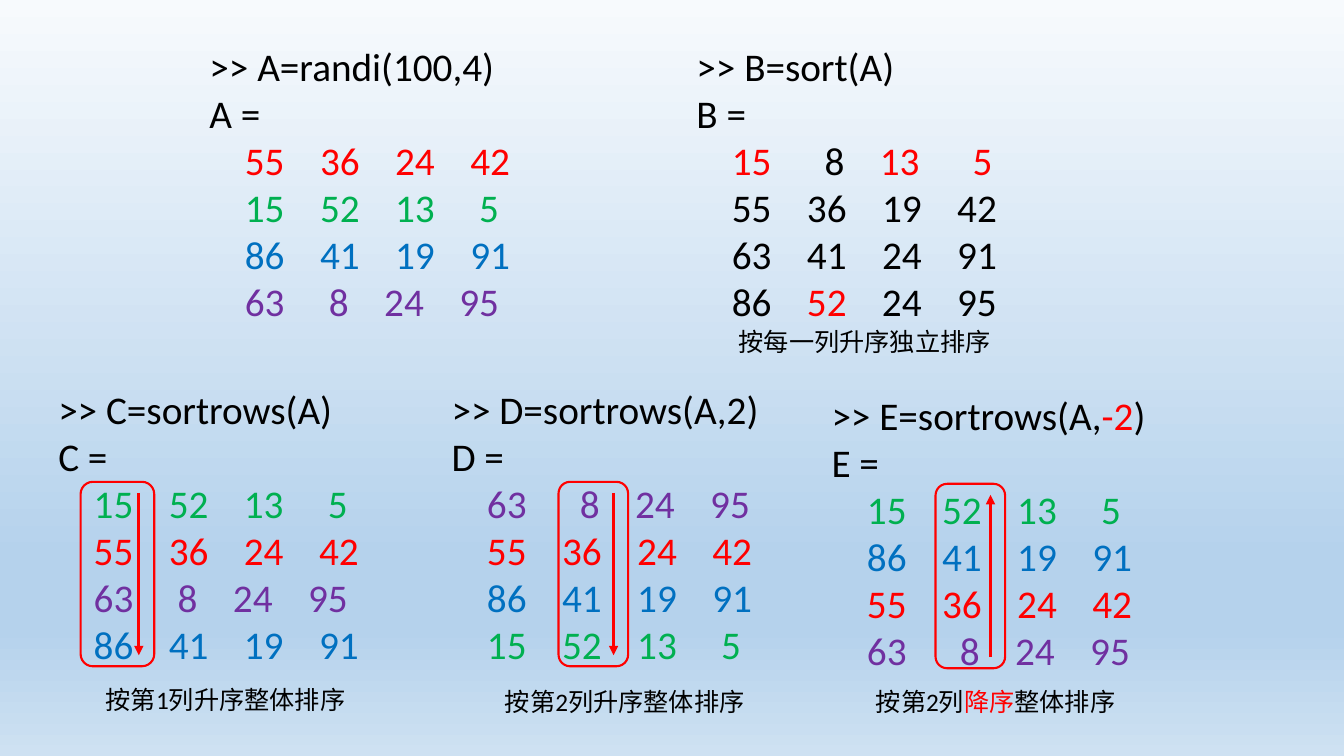
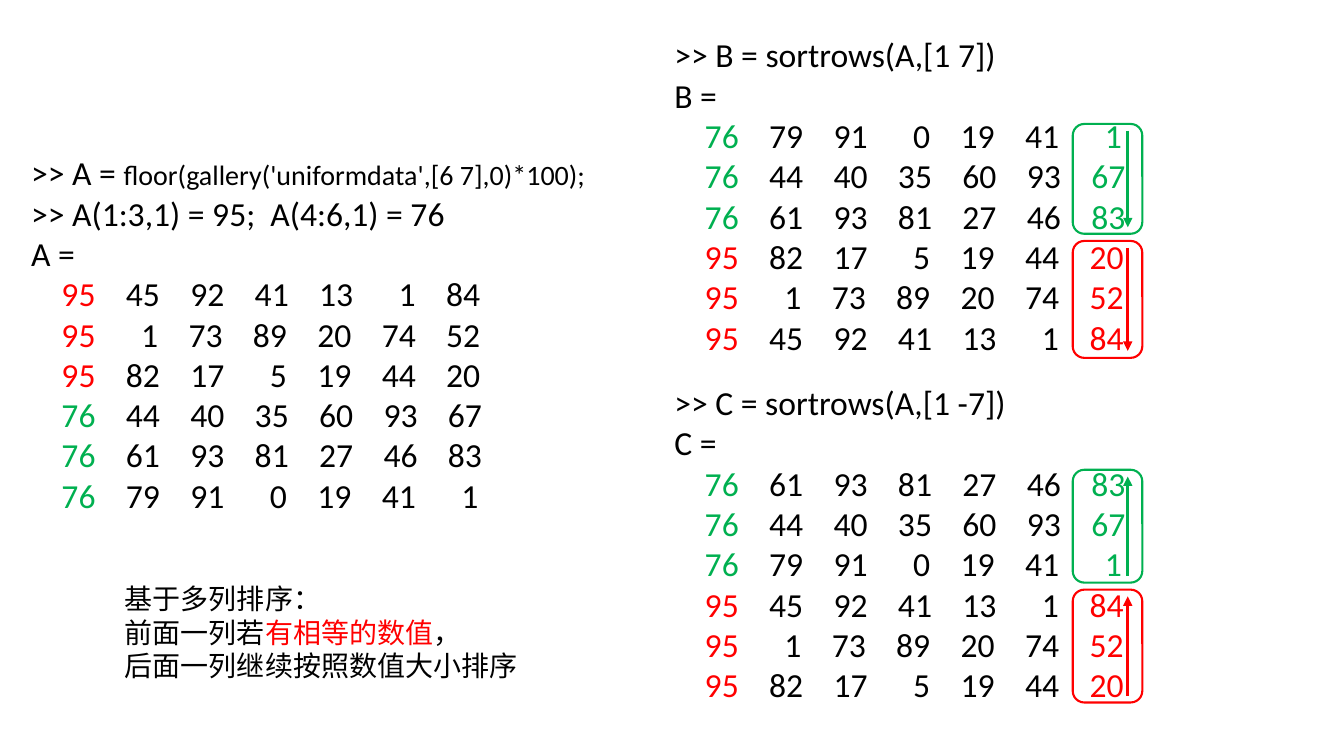
from collections import namedtuple

from lxml.etree import SubElement
from pptx import Presentation
from pptx.dml.color import RGBColor
from pptx.enum.shapes import MSO_CONNECTOR as Connector, MSO_SHAPE as Preset
from pptx.oxml.ns import qn
from pptx.util import Inches, Pt

BLACK, RED, GREEN, BLUE, PURPLE = "000000", "FF0000", "00B050", "0070C0", "7030A0"
FONT = "Calibri"
SLIDE_WIDTH, SLIDE_HEIGHT = Inches(40 / 3), Inches(7.5)
COLUMN, ROW = SLIDE_WIDTH / 100, SLIDE_HEIGHT / 100
SKY = [(0, "F7FAFD"), (74, "B5D2EC"), (83, "B5D2EC"), (100, "CEE1F2")]
GAP = " " * 4
ARROW_SHARE, ARROW_INSET = 0.79, 0.06

Box = namedtuple("Box", "left top width height")
Span = namedtuple("Span", "text color size", defaults=(BLACK, None))

SMALL_MATRIX = {
    RED: (55, 36, 24, 42),
    GREEN: (15, 52, 13, 5),
    BLUE: (86, 41, 19, 91),
    PURPLE: (63, 8, 24, 95),
}
LARGE_MATRIX = [
    (95, 45, 92, 41, 13, 1, 84),
    (95, 1, 73, 89, 20, 74, 52),
    (95, 82, 17, 5, 19, 44, 20),
    (76, 44, 40, 35, 60, 93, 67),
    (76, 61, 93, 81, 27, 46, 83),
    (76, 79, 91, 0, 19, 41, 1),
]


def rgb(color):
    return RGBColor.from_string(color)


def inside(outer, left, top, width, height):
    return Box(outer.left + left, outer.top + top, width, height)


def place(box):
    return (round(box.left * COLUMN), round(box.top * ROW),
            round(box.width * COLUMN), round(box.height * ROW))


def add_text(page, box, lines, size):
    frame = page.shapes.add_textbox(*place(box)).text_frame
    frame.word_wrap = True
    for index, line in enumerate(lines):
        para = frame.add_paragraph() if index else frame.paragraphs[0]
        for part in line:
            span = para.add_run()
            span.text = part.text
            span.font.color.rgb = rgb(part.color)
            for name, value in {"name": FONT, "size": Pt(part.size or size)}.items():
                setattr(span.font, name, value)


def add_column_mark(page, box, color, upward=False):
    group = page.shapes.add_group_shape()
    left, top, width, height = place(box)
    outline = group.shapes.add_shape(Preset.ROUNDED_RECTANGLE, left, top, width, height)
    outline.shadow.inherit = False
    outline.fill.background()
    x = round(left + width * ARROW_SHARE)
    start, end = (round(top + height * share) for share in (ARROW_INSET, 1 - ARROW_INSET))
    if upward:
        start, end = end, start
    arrow = group.shapes.add_connector(Connector.STRAIGHT, x, start, x, end)
    for shape, weight in ((outline, 1.5), (arrow, 2.25)):
        shape.line.color.rgb = rgb(color)
        shape.line.width = Pt(weight)
    properties = arrow._element.spPr
    SubElement(properties.find(qn("a:ln")), qn("a:tailEnd"), type="triangle")
    SubElement(properties, qn("a:effectLst"))


def paint_sky(page):
    fill = page.background.fill
    fill.gradient()
    fill.gradient_angle = 270
    stops = page._element.find(".//" + qn("a:gsLst"))
    for stop in list(stops):
        stops.remove(stop)
    for position, color in SKY:
        stop = SubElement(stops, qn("a:gs"), pos=str(position * 1000))
        SubElement(stop, qn("a:srgbClr"), val=color)


def matrix_line(values, colors, pads):
    return [Span(GAP + " " * (pad if value < 10 else 0) + str(value), color)
            for value, color, pad in zip(values, colors, pads)]


def small_lines(rows, pads):
    return [matrix_line(values, [color] * 4, pads) for color, values in rows]


def large_lines(rows, mark_last):
    lines = []
    for values in rows:
        color = GREEN if values[0] == 76 else RED
        colors = [color] + [BLACK] * 5 + [color if mark_last else BLACK]
        lines.append(matrix_line(values, colors, [2] * 7))
    return lines


def add_listing(page, box, commands, name, rows, size):
    add_text(page, box, commands + [[Span(f"{name} =")]] + rows, size)


def add_caption(page, listing, left, top, spans, width=19.5):
    add_text(page, inside(listing, left, top, width, 5.33), [spans], 18)


def sorted_rows(column, descending=False):
    return sorted(SMALL_MATRIX.items(), key=lambda item: item[1][column], reverse=descending)


def build_single_column_page(page):
    paint_sky(page)
    even, wide = (0, 1, 0, 1), (0, 2, 0, 1)
    source = Box(14.85, 4.93, 34.65, 39.07)
    add_listing(page, source, [[Span(">> A=randi(100,4)")]], "A",
                small_lines(SMALL_MATRIX.items(), even), 28)

    by_column = Box(51.08, 4.93, 29.63, 39.07)
    columns = [sorted(column) for column in zip(*SMALL_MATRIX.values())]
    rows = [matrix_line(values, [RED if value in SMALL_MATRIX[GREEN] else BLACK
                                 for value in values], [2] * 4)
            for values in zip(*columns)]
    add_listing(page, by_column, [[Span(">> B=sort(A)")]], "B", rows, 28)
    add_caption(page, by_column, 3.15, 37.6, [Span("按每一列升序独立排序")], 20.48)

    panels = [
        ("C", Box(3.6, 50.27, 30, 39.07), [Span(">> C=sortrows(A)")],
         small_lines(sorted_rows(0), even), (2.4, 13.47, 5.48, 24.4), False,
         (3.53, 39.6), [Span("按第1列升序整体排序")]),
        ("D", Box(32.86, 50.27, 27.45, 39.07), [Span(">> D=sortrows(A,2)")],
         small_lines(sorted_rows(1), wide), (8.7, 13.47, 5.18, 24.4), False,
         (3.98, 39.87), [Span("按第2列升序整体排序")]),
        ("E", Box(61.13, 51.07, 25.13, 39.07),
         [Span(">> E=sortrows(A,"), Span("-2", RED), Span(")")],
         small_lines(sorted_rows(1, True), wide), (8.48, 12.93, 5.18, 24.4), True,
         (3.3, 39.07), [Span("按第2列"), Span("降序", RED), Span("整体排序")]),
    ]
    for name, box, command, rows, mark, upward, offset, caption in panels:
        add_listing(page, box, [command], name, rows, 28)
        add_column_mark(page, inside(box, *mark), RED, upward)
        add_caption(page, box, *offset, caption)


def build_several_columns_page(page):
    commands = [
        [Span(">> A = "), Span("floor(gallery('uniformdata',[6 7],0)*100);", BLACK, 20)],
        [Span(">> A(1:3,1) = 95;  A(4:6,1) = 76")],
    ]
    add_listing(page, Box(1.58, 19.47, 43.14, 49.87), commands, "A",
                large_lines(LARGE_MATRIX, False), 24)

    panels = [
        ("B", 3.87, "[1 7]", 1, ((12.53, 14.53), (28, 15.47))),
        ("C", 49.87, "[1 -7]", -1, ((12.27, 14.93), (28.13, 14.93))),
    ]
    for name, top, order, sign, marks in panels:
        box = Box(49.44, top, 41.19, 44.4)
        rows = sorted(LARGE_MATRIX, key=lambda row: (row[0], sign * row[6]))
        add_listing(page, box, [[Span(f">> {name} = sortrows(A,{order})")]], name,
                    large_lines(rows, True), 24)
        for color, (offset, height) in zip((GREEN, RED), marks):
            add_column_mark(page, inside(box, 30.38, offset, 5.18, height), color, sign < 0)

    note = [
        [Span("基于多列排序：")],
        [Span("前面一列若"), Span("有相等的数值", RED), Span("，")],
        [Span("后面一列继续按照数值大小排序")],
    ]
    add_text(page, Box(8.55, 76.27, 30.98, 14.8), note, 20)


def main():
    deck = Presentation()
    deck.slide_width, deck.slide_height = SLIDE_WIDTH, SLIDE_HEIGHT
    for build in (build_single_column_page, build_several_columns_page):
        build(deck.slides.add_slide(deck.slide_layouts[6]))
    deck.save("out.pptx")


if __name__ == "__main__":
    main()
